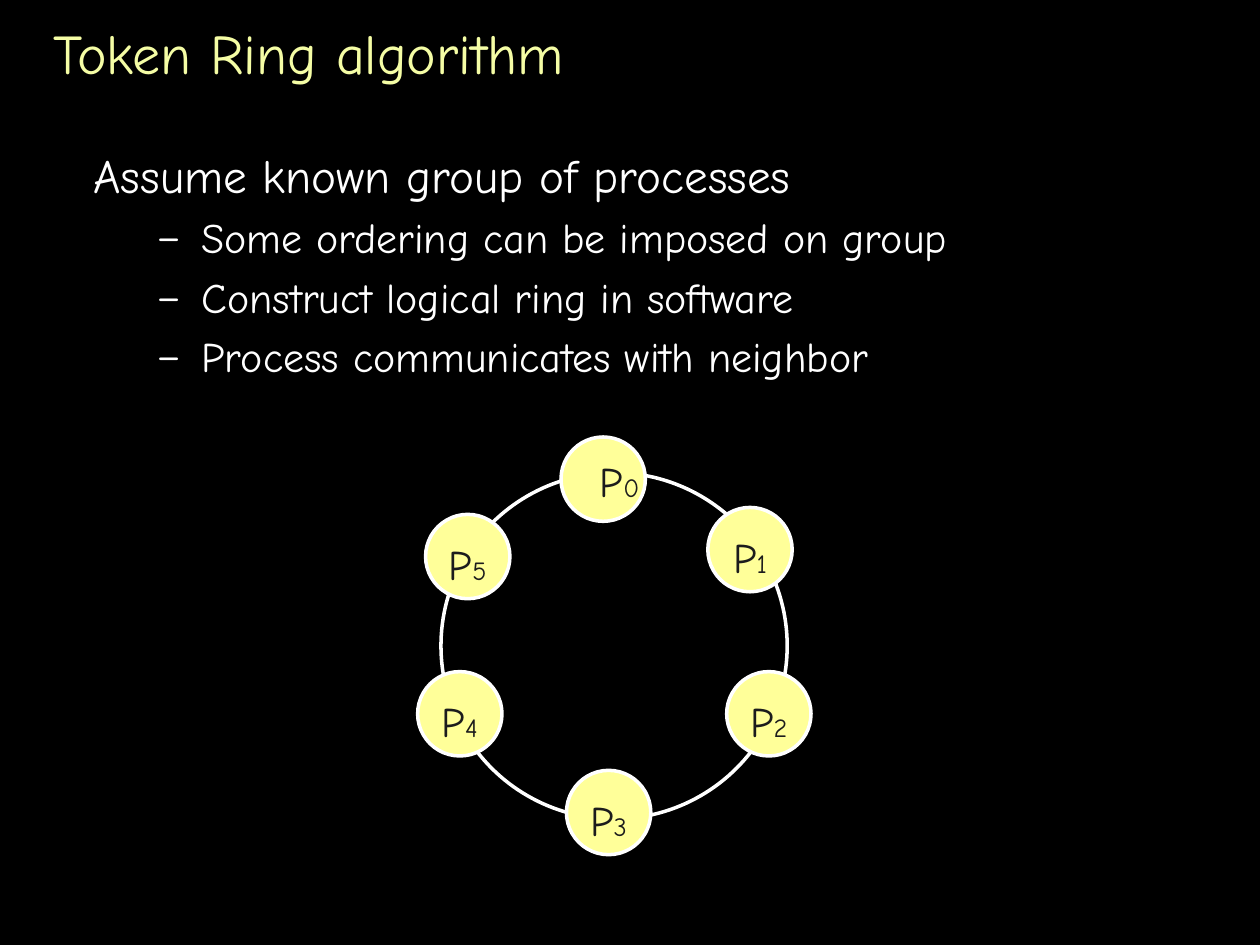
from pptx import Presentation
from pptx.dml.color import RGBColor
from pptx.enum.shapes import MSO_SHAPE as SHAPE
from pptx.enum.text import MSO_ANCHOR as ANCHOR, MSO_AUTO_SIZE as AUTO, PP_ALIGN as ALIGN
from pptx.oxml.ns import qn
from pptx.util import Cm, Pt
from lxml import etree


def rgb(value):
    return RGBColor.from_string(value)


def style(r, size, color):
    r.font.name = "Comic Neue"
    r.font.size = Pt(size)
    r.font.color.rgb = rgb(color)


prs = Presentation()
prs.slide_width, prs.slide_height = Cm(25.4), Cm(19.05)
s = prs.slides.add_slide(prs.slide_layouts[1])
s.background.fill.solid()
s.background.fill.fore_color.rgb = rgb("000000")

title, body = s.placeholders
title.left, title.top, title.width, title.height = Cm(1.07), Cm(0.18), Cm(23), Cm(1.8)
body.left, body.top, body.width, body.height = Cm(1.88), Cm(2.89), Cm(21), Cm(5.2)
for sp in (title, body):
    tf = sp.text_frame
    tf.margin_left = tf.margin_top = tf.margin_right = tf.margin_bottom = 0
    tf.vertical_anchor = ANCHOR.TOP
    tf.auto_size = AUTO.NONE
    tf.word_wrap = True

p = title.text_frame.paragraphs[0]
p.text = "Token Ring algorithm"
p.alignment = ALIGN.LEFT
p.line_spacing = Pt(44)
style(p.runs[0], 32, "F5FDA5")

items = [
    ("Assume known group of processes", 0),
    ("Some ordering can be imposed on group", 1),
    ("Construct logical ring in software", 1),
    ("Process communicates with neighbor", 1),
]
tf = body.text_frame
for i, (text, level) in enumerate(items):
    p = tf.add_paragraph() if i else tf.paragraphs[0]
    p.text = text
    p.level = level
    p.line_spacing = Pt(34)
    p.space_before = Pt(0)
    pPr = p._p.get_or_add_pPr()
    pPr.set("marL", str(Cm(2.18) if level else 0))
    pPr.set("indent", str(Cm(-0.91) if level else 0))
    if level:
        etree.SubElement(pPr, qn("a:buFont")).set("typeface", "Comic Neue")
        etree.SubElement(pPr, qn("a:buChar")).set("char", "–")
    else:
        etree.SubElement(pPr, qn("a:buNone"))
    style(p.runs[0], 24 if level else 27, "FFFFFF")

ring = s.shapes.add_shape(SHAPE.OVAL, Cm(8.89), Cm(9.53), Cm(6.98), Cm(6.98))
ring.shadow.inherit = False
ring.fill.background()
ring.line.color.rgb = rgb("FFFFFF")
ring.line.width = Pt(2)

size = 1.7
centers = [(12.16, 9.66), (15.12, 11.08), (15.5, 14.39),
           (12.27, 16.38), (9.27, 14.39), (9.43, 11.22)]
for i, (x, y) in enumerate(centers):
    node = s.shapes.add_shape(SHAPE.OVAL, Cm(x - size / 2), Cm(y - size / 2), Cm(size), Cm(size))
    node.shadow.inherit = False
    node.fill.solid()
    node.fill.fore_color.rgb = rgb("FFFF99")
    node.line.color.rgb = rgb("FFFFFF")
    node.line.width = Pt(2)
    tf = node.text_frame
    tf.word_wrap = False
    tf.vertical_anchor = ANCHOR.MIDDLE
    tf.margin_right = tf.margin_bottom = 0
    tf.margin_left = Cm(0 if i else 0.66)
    tf.margin_top = Cm(0.28 if i else 0.08)
    p = tf.paragraphs[0]
    p.alignment = ALIGN.CENTER
    for text, points in (("P", 24), (str(i), 15)):
        r = p.add_run()
        r.text = text
        style(r, points, "1C1C1C")

prs.save("out.pptx")
